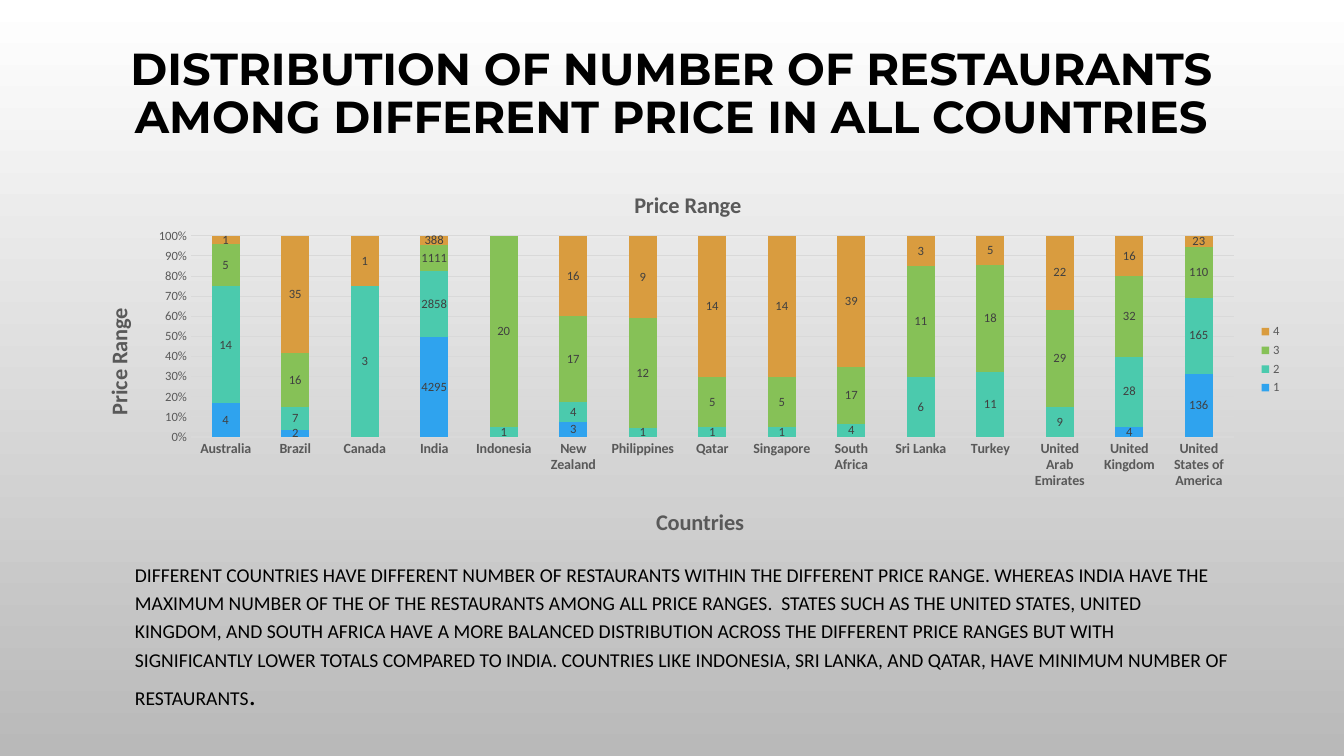
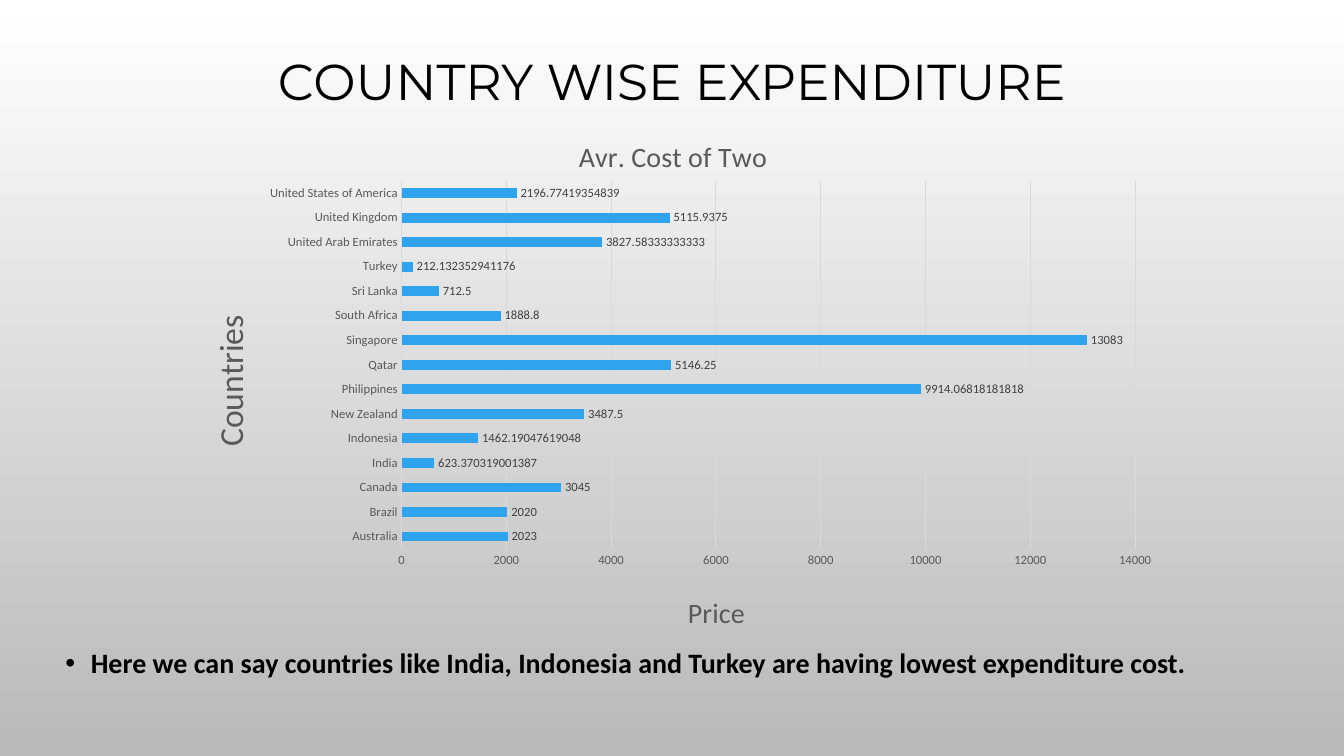
from lxml.etree import SubElement
from pptx import Presentation
from pptx.chart.data import CategoryChartData
from pptx.dml.color import RGBColor
from pptx.enum.chart import XL_CHART_TYPE as CT, XL_LABEL_POSITION as LP
from pptx.enum.chart import XL_LEGEND_POSITION as LEG, XL_TICK_MARK as TICK
from pptx.enum.text import MSO_ANCHOR as ANCHOR, PP_ALIGN as ALIGN
from pptx.oxml import parse_xml
from pptx.oxml.ns import nsdecls, qn
from pptx.util import Cm, Pt

BLACK, GREY, LABEL, GRID = "000000", "595959", "404040", "D9D9D9"
BLUE, TEAL, GREEN, ORANGE = "2FA3EE", "4BCAAD", "86C157", "D99C3F"
BACKGROUND = ("FFFFFF", "B9B9B9")
HEAD_FONT, BODY_FONT = "Montserrat", "Calibri"

COUNTRIES = [
    "Australia", "Brazil", "Canada", "India", "Indonesia", "New Zealand",
    "Philippines", "Qatar", "Singapore", "South Africa", "Sri Lanka", "Turkey",
    "United Arab Emirates", "United Kingdom", "United States of America",
]
PRICE_RANGES = {
    "1": [4, 2, None, 4295, None, 3, None, None, None, None, None, None, None, 4, 136],
    "2": [14, 7, 3, 2858, 1, 4, 1, 1, 1, 4, 6, 11, 9, 28, 165],
    "3": [5, 16, None, 1111, 20, 17, 12, 5, 5, 17, 11, 18, 29, 32, 110],
    "4": [1, 35, 1, 388, None, 16, 9, 14, 14, 39, 3, 5, 22, 16, 23],
}
COSTS = {
    "Series 1": [
        2023, 2020, 3045, 623.370319001387, 1462.19047619048, 3487.5,
        9914.06818181818, 5146.25, 13083, 1888.8, 712.5, 212.132352941176,
        3827.58333333333, 5115.9375, 2196.77419354839,
    ],
}
PRICE_NOTE = (
    "DIFFERENT COUNTRIES HAVE DIFFERENT NUMBER OF RESTAURANTS WITHIN THE DIFFERENT "
    "PRICE RANGE. WHEREAS INDIA HAVE THE MAXIMUM NUMBER OF THE OF THE RESTAURANTS "
    "AMONG ALL PRICE RANGES.  STATES SUCH AS THE UNITED STATES, UNITED KINGDOM, AND "
    "SOUTH AFRICA HAVE A MORE BALANCED DISTRIBUTION ACROSS THE DIFFERENT PRICE RANGES "
    "BUT WITH SIGNIFICANTLY LOWER TOTALS COMPARED TO INDIA. COUNTRIES LIKE INDONESIA, "
    "SRI LANKA, AND QATAR, HAVE MINIMUM NUMBER OF RESTAURANTS"
)


def rgb(value):
    return RGBColor.from_string(value)


def style(font, size, color=BLACK, bold=False, name=BODY_FONT):
    font.size, font.bold, font.name = Pt(size), bold, name
    font.color.rgb = rgb(color)


def place(element, index, **fractions):
    for old in element.findall(qn("c:layout")):
        element.remove(old)
    layout = parse_xml(f'<c:layout {nsdecls("c")}/>')
    manual = SubElement(layout, qn("c:manualLayout"))
    if "w" in fractions:
        SubElement(manual, qn("c:layoutTarget")).set("val", "inner")
    for key in ("x", "y"):
        SubElement(manual, qn(f"c:{key}Mode")).set("val", "edge")
    for key, value in fractions.items():
        SubElement(manual, qn(f"c:{key}")).set("val", str(value))
    element.insert(index, layout)


class Deck:
    def __init__(self):
        self.prs = Presentation()
        self.prs.slide_width, self.prs.slide_height = Cm(33.87), Cm(19.05)

    def slide(self):
        self.s = self.prs.slides.add_slide(self.prs.slide_layouts[6])
        fill = self.s.background.fill
        fill.gradient()
        fill.gradient_angle = 270
        for stop, color in zip(fill.gradient_stops, BACKGROUND):
            stop.color.rgb = rgb(color)

    def paragraph(self, box, text, spacing):
        tf = self.s.shapes.add_textbox(*map(Cm, box)).text_frame
        tf.word_wrap = True
        tf.text = text
        p = tf.paragraphs[0]
        p.line_spacing = spacing
        return tf, p

    def title(self, text, height, size, bold=False):
        tf, p = self.paragraph((2.54, 0.4, 28.78, height), text, 0.9)
        tf.vertical_anchor = ANCHOR.MIDDLE
        p.alignment = ALIGN.CENTER
        style(p.runs[0].font, size, bold=bold, name=HEAD_FONT)

    def body(self, box, text, size, bold=False):
        p = self.paragraph(box, text, 1.2)[1]
        p.space_before = Pt(10)
        style(p.runs[0].font, size, bold=bold)
        return p

    def bullet(self, box, text, size):
        pPr = self.body(box, text, size, bold=True)._p.get_or_add_pPr()
        pPr.set("marL", str(Cm(0.64)))
        pPr.set("indent", str(-Cm(0.64)))
        SubElement(pPr, qn("a:buFont")).set("typeface", "Arial")
        SubElement(pPr, qn("a:buChar")).set("char", "•")

    def chart(self, kind, box, series, colors, plot_area):
        data = CategoryChartData()
        data.categories = COUNTRIES
        for name, values in series.items():
            data.add_series(name, values)
        chart = self.s.shapes.add_chart(kind, *map(Cm, box), data).chart
        style(chart.font, 10)
        chart.has_legend = False
        place(chart.element.find(".//" + qn("c:plotArea")), 0,
              **dict(zip("xywh", plot_area)))
        plot = chart.plots[0]
        plot.gap_width, plot.vary_by_categories = 150, False
        for ser, color in zip(plot.series, colors):
            ser.format.fill.solid()
            ser.format.fill.fore_color.rgb = rgb(color)
            labels = ser.data_labels
            labels.show_value = True
            style(labels.font, 9, LABEL)
        for axis in (chart.category_axis, chart.value_axis):
            axis.major_tick_mark = axis.minor_tick_mark = TICK.NONE
            axis.format.line.fill.background()
            style(axis.tick_labels.font, 9, GREY)
        chart.value_axis.has_major_gridlines = True
        line = chart.value_axis.major_gridlines.format.line
        line.color.rgb, line.width = rgb(GRID), Pt(0.75)
        return chart

    def chart_title(self, title, text, size, x, y, bold=False, upright=False):
        tf = title.text_frame
        tf.text = text
        style(tf.paragraphs[0].runs[0].font, size, GREY, bold)
        bodyPr = title.element.find(".//" + qn("a:bodyPr"))
        bodyPr.set("rot", "-5400000" if upright else "0")
        bodyPr.set("vert", "horz")
        place(title.element, 1, x=x, y=y)

    def legend(self, chart):
        chart.has_legend = True
        chart.legend.position = LEG.RIGHT
        chart.legend.include_in_layout = False
        style(chart.legend.font, 9, GREY)


def price_slide(deck):
    deck.slide()
    deck.title("DISTRIBUTION OF NUMBER OF RESTAURANTS AMONG DIFFERENT PRICE "
               "IN ALL COUNTRIES", 3.99, 32, bold=True)
    p = deck.body((3.15, 13.94, 28.19, 4.7), PRICE_NOTE, 14)
    r = p.add_run()
    r.text = "."
    style(r.font, 20)
    chart = deck.chart(CT.COLUMN_STACKED_100, (1.9, 4.19, 30.66, 9.75), PRICE_RANGES,
                       (BLUE, TEAL, GREEN, ORANGE), (0.095, 0.18, 0.857, 0.52))
    chart.plots[0].overlap = 100
    cat, val = chart.category_axis, chart.value_axis
    style(cat.tick_labels.font, 10, GREY, bold=True)
    val.tick_labels.number_format = "0%"
    val.tick_labels.number_format_is_linked = False
    val.major_unit = 0.1
    deck.chart_title(chart.chart_title, "Price Range", 16, 0.456, 0.05, bold=True)
    deck.chart_title(cat.axis_title, "Countries", 16, 0.474, 0.87, bold=True)
    deck.chart_title(val.axis_title, "Price Range", 16, 0.02, 0.356, bold=True,
                     upright=True)
    deck.legend(chart)


def expenditure_slide(deck):
    deck.slide()
    deck.title("COUNTRY WISE EXPENDITURE", 3.43, 36)
    deck.bullet((1.4, 15.98, 30.23, 2.67),
                "Here we can say countries like India, Indonesia and Turkey "
                "are having lowest expenditure cost.", 20)
    chart = deck.chart(CT.BAR_CLUSTERED, (4.32, 2.77, 25.22, 13.54), COSTS,
                       (BLUE,), (0.23, 0.132, 0.733, 0.685))
    chart.plots[0].series[0].data_labels.position = LP.OUTSIDE_END
    cat, val = chart.category_axis, chart.value_axis
    val.maximum_scale, val.major_unit = 14000, 2000
    deck.chart_title(chart.chart_title, "Avr. Cost of Two", 20, 0.402, 0.04)
    deck.chart_title(cat.axis_title, "Countries", 24, 0.03, 0.371, upright=True)
    deck.chart_title(val.axis_title, "Price", 20, 0.511, 0.89)


def main():
    deck = Deck()
    price_slide(deck)
    expenditure_slide(deck)
    deck.prs.save("out.pptx")


if __name__ == "__main__":
    main()
